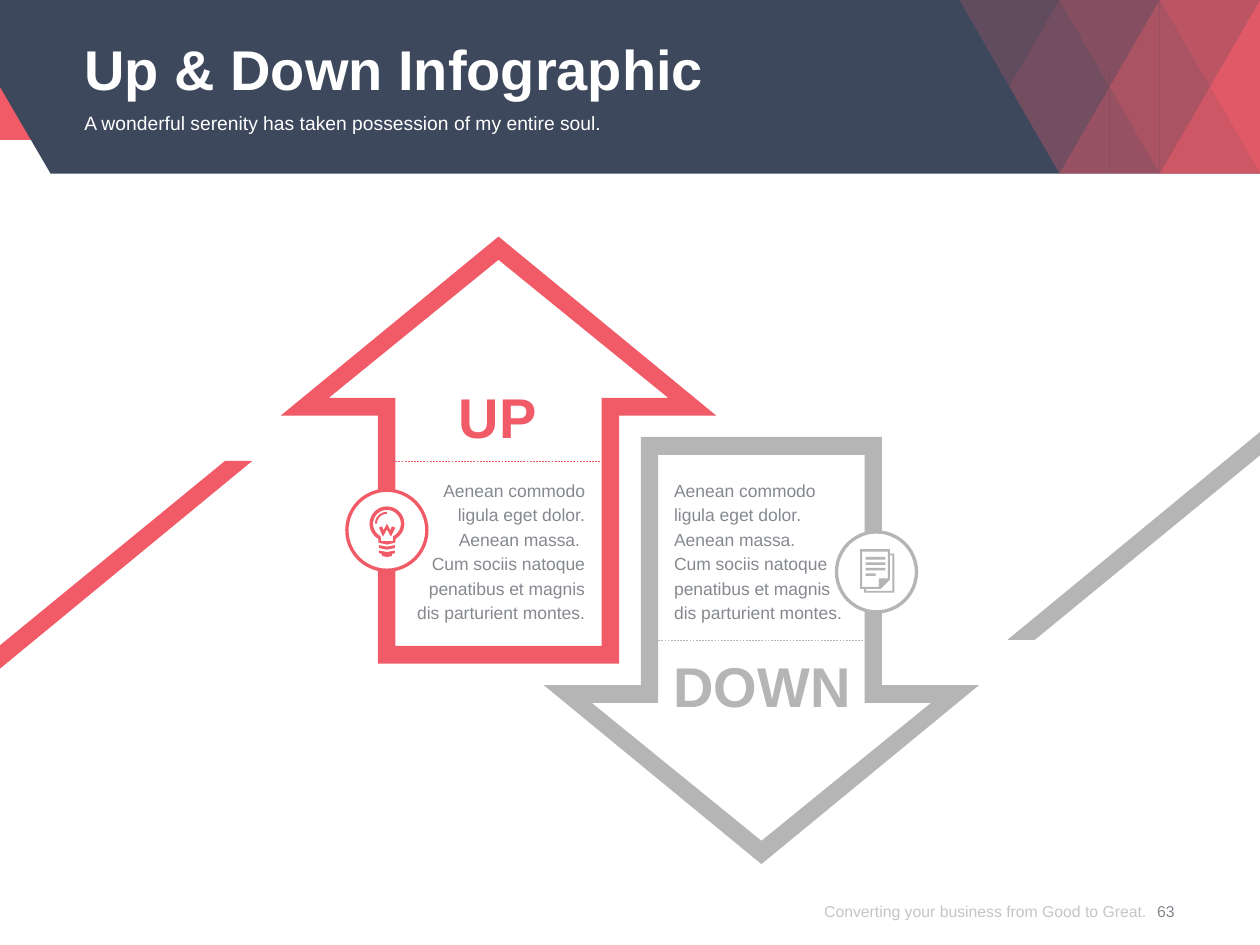
"""Build the Up & Down infographic slide."""
from math import cos, radians, sin

from lxml.etree import SubElement
from pptx import Presentation
from pptx.dml.color import RGBColor
from pptx.enum.dml import MSO_LINE_DASH_STYLE as Dash
from pptx.enum.shapes import MSO_CONNECTOR as Conn, MSO_SHAPE as Kind
from pptx.enum.text import MSO_ANCHOR as Anchor, MSO_AUTO_SIZE as Auto, PP_ALIGN as Align
from pptx.oxml.ns import qn
from pptx.util import Cm, Pt

HUES = {"red": "F15B67", "navy": "3D485D", "grey": "B5B5B5",
        "text": "85898F", "foot": "8C8C8C", "white": "FFFFFF"}
TITLE = "Up & Down Infographic"
LEAD = "A wonderful serenity has taken possession of my entire soul."
FOOT = "Converting your business from Good to Great."
PAGE = "63"
LAST = "Cum sociis natoque penatibus et magnis dis parturient montes."

FACETS = [
    {"upper": [20, 20, 40, 40, 70, 70], "lower": [0, 30, 30, 60, 60, 90]},
    {"upper": [0, 30, 30, 60, 60, 90], "lower": [0, 0, 50, 50, 80, 80]},
]
STEP, RISE, LEFT = 1.01, 1.75, 19.34

OUTER = [(0, 0), (4.39, 3.61), (2.43, 3.61), (2.43, 8.61)]
INNER = [(0, 0.47), (3.42, 3.25), (2.08, 3.25), (2.08, 8.25)]
STRIPE = [(0, 0), (-5.09, 4.19), (-5.09, 3.72), (-0.55, 0)]


def arc(rad, start, end):
    """Return points on a bulb arc, given in degrees."""
    turns = [radians(start + (end - start) * i / 32) for i in range(33)]
    return [(rad * cos(t), rad * sin(t) - 0.13) for t in turns]


def box(x1, y1, x2, y2):
    """Return the corners of a rectangle."""
    return [(x1, y1), (x2, y1), (x2, y2), (x1, y2)]


BULB = [
    arc(0.35, 120, 420) + [(0.17, 0.25), (0, 0.29), (-0.17, 0.25)],
    arc(0.28, 117, 423) + [(0.12, 0.22), (-0.12, 0.22)],
    arc(0.24, 180, 270) + arc(0.2, 270, 180),
    [(-0.16, -0.05), (-0.08, 0.13), (0, -0.02), (0.08, 0.13), (0.17, -0.05),
     (0.1, -0.08), (0.07, 0), (0, -0.13), (-0.07, 0), (-0.1, -0.08)],
    [(-0.16, 0.3), (0, 0.33), (0.16, 0.3), (0.16, 0.36), (0, 0.39), (-0.16, 0.36)],
    [(-0.16, 0.41), (0, 0.44), (0.16, 0.41), (0.16, 0.46), (0.1, 0.48),
     (0.1, 0.52), (0, 0.54), (-0.1, 0.52), (-0.1, 0.48), (-0.16, 0.46)],
]
PAPER = [
    [(0.27, -0.37), (0.27, -0.46), (-0.33, -0.46), (-0.33, 0.34),
     (-0.25, 0.34), (-0.25, 0.42), (0.36, 0.42), (0.36, -0.37)],
    [(-0.29, 0.3), (-0.29, -0.41), (0.23, -0.41), (0.23, 0.13), (0.05, 0.13), (0.05, 0.3)],
    [(0.32, 0.38), (-0.21, 0.38), (-0.21, 0.34), (0.09, 0.34),
     (0.27, 0.16), (0.27, -0.33), (0.32, -0.33)],
] + [box(-0.22, -0.3 + 0.11 * i, 0.18 if i < 3 else -0.02, -0.25 + 0.11 * i)
     for i in range(4)]

SIDES = [
    {"hue": "grey", "tip": (15.35, 17.42), "way": -1, "stripe": (20.31, 12.9),
     "rule": 12.9, "ring": (17.67, 11.53), "icon": PAPER, "align": Align.LEFT,
     "word": "DOWN", "head": (13.41, 13.13, 3.91, 1.37), "body": (13.59, 9.6, 3.51, 3),
     "lines": ["Aenean commodo ligula eget dolor. Aenean massa.", LAST]},
    {"hue": "red", "tip": (10.05, 4.77), "way": 1, "stripe": (5.09, 9.29),
     "rule": 9.29, "ring": (7.8, 10.69), "icon": BULB, "align": Align.RIGHT,
     "word": "UP", "head": (8.28, 7.72, 3.51, 1.37), "body": (8.28, 9.6, 3.51, 3),
     "lines": ["Aenean commodo ligula eget dolor. Aenean massa. ", LAST]},
]

deck = Presentation()
deck.slide_width, deck.slide_height = Cm(25.4), Cm(19.05)
slide = deck.slides.add_slide(deck.slide_layouts[1])
shapes = slide.shapes


def tint(hue):
    """Return the named colour."""
    return RGBColor.from_string(HUES[hue])


def fade(shape, pct):
    """Set the opacity of every colour in a shape."""
    for node in shape.element.iter(qn("a:srgbClr")):
        SubElement(node, qn("a:alpha"), val=str(pct * 1000))


def paint(shape, hue):
    """Give a shape a flat fill without line or shadow."""
    shape.shadow.inherit = False
    shape.fill.solid()
    shape.fill.fore_color.rgb = tint(hue)
    shape.line.fill.background()
    return shape


def draw(loops, hue, at=(0, 0), way=1):
    """Draw closed loops as one outline, offset and turned."""
    rings = [[(Cm(at[0] + way * x), Cm(at[1] + way * y)) for x, y in loop] for loop in loops]
    pen = shapes.build_freeform(*rings[0][0], scale=1.0)
    pen.add_line_segments(rings[0][1:], close=True)
    for ring in rings[1:]:
        pen.move_to(*ring[0])
        pen.add_line_segments(ring[1:], close=True)
    return paint(pen.convert_to_shape(), hue)


def place(kind, hue, area):
    """Add a filled preset shape."""
    return paint(shapes.add_shape(kind, *map(Cm, area)), hue)


def write(lines, area, hue="text", size=10, bold=False, align=Align.LEFT,
          anchor=Anchor.TOP, lead=None, holder=None):
    """Set text in a placeholder or a new text box."""
    shape = holder or shapes.add_textbox(*map(Cm, area))
    shape.left, shape.top, shape.width, shape.height = map(Cm, area)
    frame = shape.text_frame
    frame.text = "\n".join(lines)
    frame.word_wrap, frame.auto_size, frame.vertical_anchor = True, Auto.NONE, anchor
    frame.margin_left = frame.margin_right = frame.margin_top = frame.margin_bottom = 0
    for para in frame.paragraphs:
        para.alignment, para.space_before = align, Pt(0)
        if lead:
            para.line_spacing = Pt(lead)
        font = para.runs[0].font
        font.name, font.size, font.bold = "Arial", Pt(size), bold
        font.color.rgb = tint(hue)
    return shape


def banner():
    """Draw the header band and its facets."""
    place(Kind.RECTANGLE, "red", (0, 0, 25.4, 2.82))
    draw([[(0, 0), (25.4, 0), (25.4, 3.5), (1.02, 3.5), (0, 1.75)]], "navy")
    for row, parts in enumerate(FACETS):
        for half, values in parts.items():
            for col, pct in enumerate(values):
                if not pct:
                    continue
                x, y = LEFT + STEP * col, RISE * row
                tl, tr, br, bl = box(x, y, x + STEP, y + RISE)
                falls = (row + col) % 2 == 0
                if half == "upper":
                    loop = [tl, tr, br if falls else bl]
                else:
                    loop = [bl, br, tl if falls else tr]
                fade(draw([loop], "red"), pct)


def panel(side):
    """Draw one arrow with its stripe, rule, badge and text."""
    hue, way, (mid, tip) = side["hue"], side["way"], side["tip"]
    loops = [half + [(-x, y) for x, y in half[:0:-1]] for half in (OUTER, INNER)]
    draw(loops, hue, (mid, tip), way)
    draw([STRIPE], hue, side["stripe"], way)
    ends = (mid - 2.08, side["rule"], mid + 2.08, side["rule"])
    rule = shapes.add_connector(Conn.STRAIGHT, *map(Cm, ends))
    rule.line.color.rgb, rule.line.width = tint(hue), Pt(0.25)
    rule.line.dash_style = Dash.DASH
    SubElement(rule.element.spPr, qn("a:effectLst"))
    x, y = side["ring"]
    place(Kind.OVAL, "white", (x - 0.8, y - 0.8, 1.6, 1.6))
    ring = place(Kind.DONUT, hue, (x - 0.84, y - 0.84, 1.68, 1.68))
    ring.adjustments[0] = 0.04
    draw(side["icon"], hue, (x, y))
    write(side["lines"], side["body"], align=side["align"], lead=14)
    write([side["word"]], side["head"], hue=hue, size=32, bold=True, align=Align.CENTER)


def main():
    """Assemble and save the slide."""
    banner()
    for side in SIDES:
        panel(side)
    write([TITLE], (1.7, 0.48, 22, 1.65), hue="white", size=32, bold=True,
          anchor=Anchor.MIDDLE, lead=42, holder=shapes.title)
    body = write([LEAD], (1.7, 2.24, 22, 0.99), hue="white", size=11,
                 holder=slide.placeholders[1])
    for holder in (shapes.title, body):
        shapes.element.append(holder.element)
    props = body.text_frame.paragraphs[0].runs[0].font
    props.italic = False
    for node in body.element.iter(qn("a:pPr")):
        node.set("marL", "0")
        node.set("indent", "0")
        SubElement(node, qn("a:buNone"))
    foot = write([FOOT], (15.34, 17.68, 7.77, 1.37), hue="foot", size=9,
                 align=Align.RIGHT, anchor=Anchor.MIDDLE)
    fade(foot, 50)
    write([PAGE], (22.91, 17.68, 1.19, 1.37), size=9, align=Align.CENTER, anchor=Anchor.MIDDLE)
    deck.save("out.pptx")


if __name__ == "__main__":
    main()
